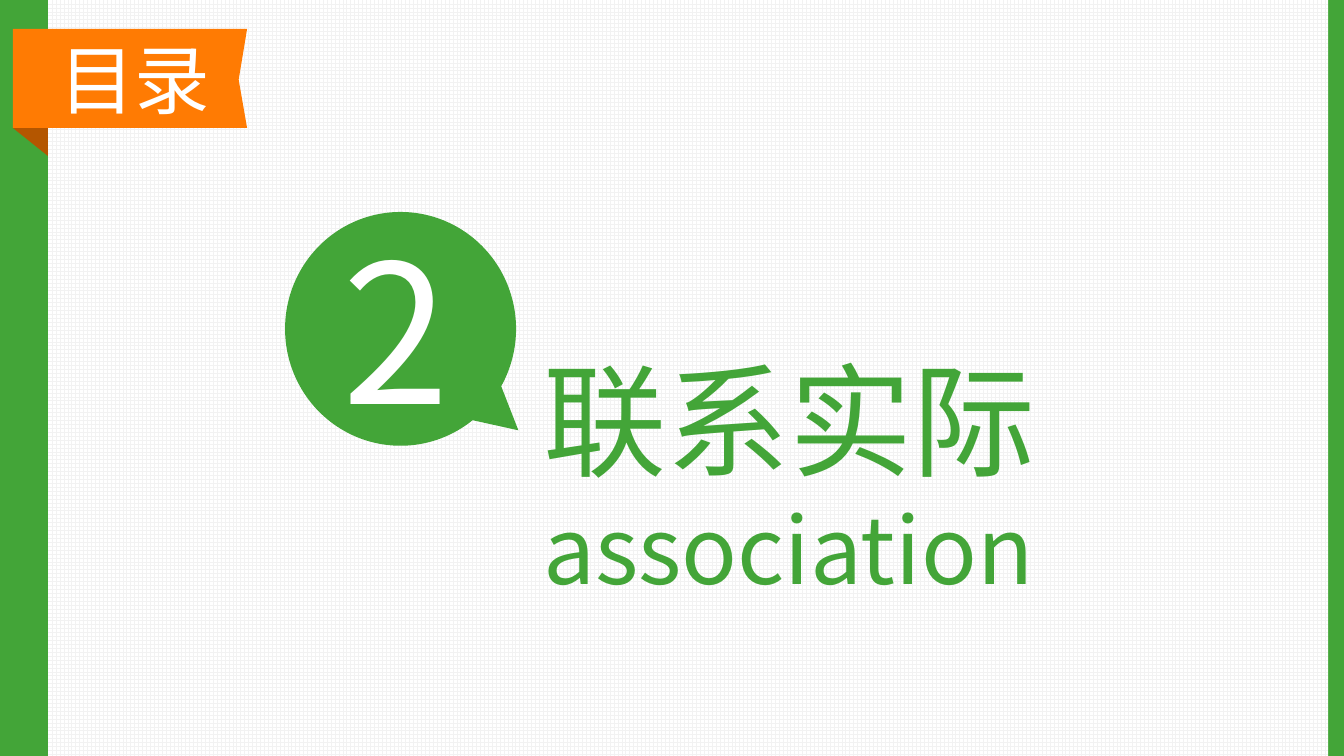
from pptx import Presentation
from pptx.dml.color import RGBColor
from pptx.enum.dml import MSO_PATTERN
from pptx.enum.shapes import MSO_SHAPE
from pptx.enum.text import MSO_ANCHOR, MSO_AUTO_SIZE, PP_ALIGN
from pptx.oxml.ns import qn
from pptx.util import Pt

GREEN = RGBColor(0x43, 0xA5, 0x38)
ORANGE = RGBColor(0xFF, 0x7B, 0x03)
DARK_ORANGE = RGBColor(0xB4, 0x56, 0x00)
GRID_GRAY = RGBColor(0xF2, 0xF2, 0xF2)
WHITE = RGBColor(0xFF, 0xFF, 0xFF)
FONT = "Noto Sans CJK SC"


def paint(shape, color):
    shape.shadow.inherit = False
    shape.fill.solid()
    shape.fill.fore_color.rgb = color
    shape.line.fill.background()


def add_outline(slide, points, color):
    corners = [(Pt(x), Pt(y)) for x, y in points]
    builder = slide.shapes.build_freeform(*corners[0])
    builder.add_line_segments(corners[1:], close=True)
    paint(builder.convert_to_shape(), color)


def write_lines(shape, lines, color):
    """Fill a shape with (text, size) lines that do not wrap."""
    frame = shape.text_frame
    frame.text = "\n".join(text for text, _ in lines)
    frame.word_wrap = False
    frame.auto_size = MSO_AUTO_SIZE.SHAPE_TO_FIT_TEXT
    frame.vertical_anchor = MSO_ANCHOR.TOP
    for paragraph, (_, size) in zip(frame.paragraphs, lines):
        paragraph.alignment = PP_ALIGN.LEFT
        paragraph.line_spacing = 1.0
        for run in paragraph.runs:
            run.font.size = Pt(size)
            run.font.name = FONT
            run.font.color.rgb = color
            east_asian = run.font._element.makeelement(qn("a:ea"), {"typeface": FONT})
            run.font._element.find(qn("a:latin")).addnext(east_asian)


def add_label(slide, left, top, width, height, text, size):
    label = slide.shapes.add_textbox(Pt(left), Pt(top), Pt(width), Pt(height))
    write_lines(label, [(text, size)], WHITE)


def add_grid_panel(slide):
    panel = slide.shapes.add_shape(
        MSO_SHAPE.RECTANGLE, Pt(34.4), Pt(0), Pt(914.4), Pt(540))
    paint(panel, WHITE)
    panel.fill.patterned()
    panel.fill.pattern = MSO_PATTERN.LARGE_GRID
    panel.fill.fore_color.rgb = GRID_GRAY
    panel.fill.back_color.rgb = WHITE


def add_number_bubble(slide):
    bubble = slide.shapes.add_shape(
        MSO_SHAPE.OVAL_CALLOUT, Pt(203.6), Pt(151.4), Pt(165), Pt(167))
    bubble.adjustments[0] = 0.51
    bubble.adjustments[1] = 0.434
    paint(bubble, GREEN)
    add_label(slide, 237.6, 147.6, 96.5, 174.2, "2", 138)


def place_title(slide):
    title = slide.shapes.title
    title.left, title.top = Pt(380.9), Pt(242.6)
    title.width, title.height = Pt(370), Pt(193.7)
    write_lines(title, [("联系实际", 88), ("association", 66)], GREEN)
    # Bring the title in front of the grid panel
    slide.shapes.element.append(title.element)


def main():
    presentation = Presentation()
    presentation.slide_width, presentation.slide_height = Pt(960), Pt(540)
    slide = presentation.slides.add_slide(presentation.slide_layouts[5])

    # Green edges around the grid panel
    slide.background.fill.solid()
    slide.background.fill.fore_color.rgb = GREEN
    add_outline(slide, [(35, 91.4), (9.2, 91.4), (35, 112)], DARK_ORANGE)
    add_grid_panel(slide)

    # Section heading
    place_title(slide)
    add_number_bubble(slide)

    # Contents ribbon with a notched end
    add_outline(slide, [(9.2, 20.7), (176.5, 20.7), (173.5, 39), (170.5, 57),
                        (176.5, 91.4), (9.2, 91.4)], ORANGE)
    add_label(slide, 35.3, 20.2, 123.8, 72.7, "目录", 54)

    presentation.save("out.pptx")


if __name__ == "__main__":
    main()
